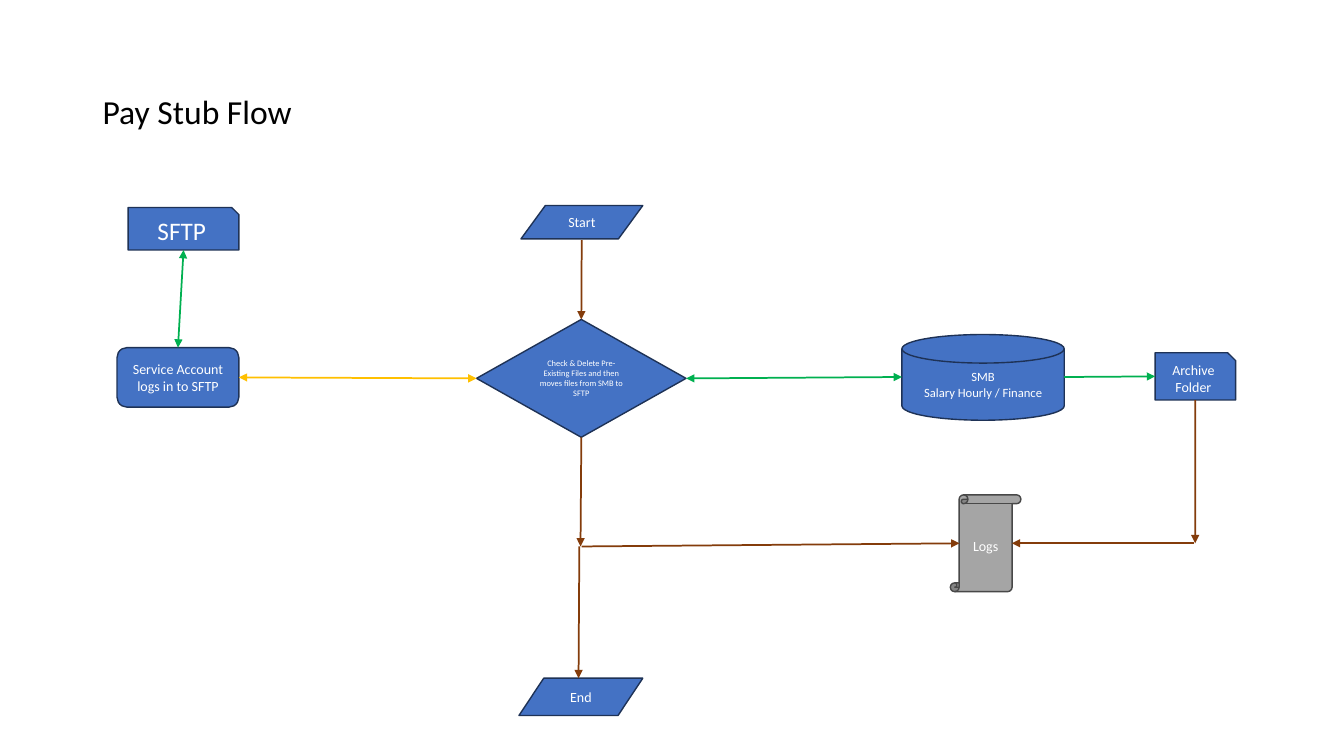
from lxml import etree
from pptx import Presentation
from pptx.dml.color import RGBColor
from pptx.enum.shapes import MSO_CONNECTOR, MSO_SHAPE
from pptx.enum.text import MSO_ANCHOR, MSO_AUTO_SIZE, PP_ALIGN
from pptx.oxml.ns import qn
from pptx.util import Cm, Pt

STRAIGHT = MSO_CONNECTOR.STRAIGHT
SNIPPED = MSO_SHAPE.SNIP_1_RECTANGLE
ROUNDED = MSO_SHAPE.FLOWCHART_ALTERNATE_PROCESS
DIAMOND = MSO_SHAPE.DIAMOND
DATA = MSO_SHAPE.FLOWCHART_DATA
DISK = MSO_SHAPE.FLOWCHART_MAGNETIC_DISK
SCROLL = MSO_SHAPE.VERTICAL_SCROLL
TOP, LEFT, BOTTOM, RIGHT = range(4)

FONT = "Calibri"
BLUE, NAVY = "4472C4", "1E3256"
GRAY, DARK_GRAY = "A5A5A5", "484848"
BROWN, GREEN, AMBER = "843C0B", "00B050", "FFC000"

TITLE = "Pay Stub Flow"
TITLE_BOX = (2.33, 1.01, 29.21, 3.68)

# name: (preset, (left, top, width, height) in cm, text, size, fill, outline)
NODES = {
    "sftp": (SNIPPED, (3.23, 5.23, 2.79, 1.07), "SFTP", 18, BLUE, NAVY),
    "account": (ROUNDED, (2.95, 8.76, 3.07, 1.5),
                "Service Account logs in to SFTP", 10, BLUE, NAVY),
    "check": (DIAMOND, (12.01, 8.05, 5.28, 2.97),
              "Check & Delete Pre-Existing Files and then moves files from SMB to SFTP",
              6, BLUE, NAVY),
    "start": (DATA, (13.13, 5.18, 3.07, 0.84), "Start", 10, BLUE, NAVY),
    "logs": (SCROLL, (23.95, 12.47, 1.78, 2.44), "Logs", 10, GRAY, DARK_GRAY),
    "smb": (DISK, (22.73, 8.43, 4.09, 2.16),
            "SMB\vSalary Hourly / Finance", 9, BLUE, NAVY),
    "archive": (SNIPPED, (29.11, 8.89, 2.03, 1.19), "Archive Folder", 10, BLUE, NAVY),
    "end": (DATA, (13.08, 17.09, 3.12, 0.94), "End", 10, BLUE, NAVY),
}

# (from, to, colour, width, two-headed); an end is a (node, side) or an (x, y) in cm
ARROWS = [
    (("check", BOTTOM), (14.63, 13.77), BROWN, 1.25, False),
    ((14.66, 13.77), (24.18, 13.69), BROWN, 1.25, False),
    (("sftp", BOTTOM), ("account", TOP), GREEN, 1.25, True),
    (("check", RIGHT), (22.73, 9.5), GREEN, 1.25, True),
    ((26.82, 9.5), ("archive", LEFT), GREEN, 1.25, False),
    (("archive", BOTTOM), (30.12, 13.69), BROWN, 1.25, False),
    ((30.1, 13.69), (25.5, 13.69), BROWN, 1.5, False),
    ((14.66, 6.05), ("check", TOP), BROWN, 1.25, False),
    (("account", RIGHT), ("check", LEFT), AMBER, 1.25, True),
    ((14.6, 13.77), (14.58, 17.09), BROWN, 1.25, False),
]


def color(value):
    return RGBColor.from_string(value)


def write(shape, text, size, text_color, alignment):
    frame = shape.text_frame
    frame.word_wrap = True
    frame.auto_size = MSO_AUTO_SIZE.NONE
    frame.vertical_anchor = MSO_ANCHOR.MIDDLE
    paragraph = frame.paragraphs[0]
    paragraph.text = text
    paragraph.alignment = alignment
    paragraph.font.name = FONT
    paragraph.font.size = Pt(size)
    paragraph.font.color.rgb = color(text_color)


def add_node(slide, preset, box, text, size, fill, outline):
    shape = slide.shapes.add_shape(preset, *map(Cm, box))
    shape.shadow.inherit = False
    shape.fill.solid()
    shape.fill.fore_color.rgb = color(fill)
    shape.line.color.rgb = color(outline)
    shape.line.width = Pt(1)
    write(shape, text, size, "FFFFFF", PP_ALIGN.CENTER)
    return shape


def add_arrow(slide, nodes, start, end, line_color, width, two_headed):
    points = [(0, 0) if spot[0] in nodes else spot for spot in (start, end)]
    arrow = slide.shapes.add_connector(
        STRAIGHT, *(Cm(value) for point in points for value in point))
    for spot, connect in ((start, arrow.begin_connect), (end, arrow.end_connect)):
        if spot[0] in nodes:
            connect(nodes[spot[0]], spot[1])
    arrow.line.color.rgb = color(line_color)
    arrow.line.width = Pt(width)
    properties = arrow.element.spPr
    line = properties.find(qn("a:ln"))
    for tag in ("a:headEnd", "a:tailEnd") if two_headed else ("a:tailEnd",):
        etree.SubElement(line, qn(tag), type="triangle")
    etree.SubElement(properties, qn("a:effectLst"))


def main():
    presentation = Presentation()
    presentation.slide_width = Cm(33.87)
    presentation.slide_height = Cm(19.05)
    slide = presentation.slides.add_slide(presentation.slide_layouts[5])

    title = slide.shapes.title
    title.left, title.top, title.width, title.height = map(Cm, TITLE_BOX)
    write(title, TITLE, 24, "000000", PP_ALIGN.LEFT)
    title.text_frame.paragraphs[0].line_spacing = 0.9

    nodes = {name: add_node(slide, *node) for name, node in NODES.items()}
    for arrow in ARROWS:
        add_arrow(slide, nodes, *arrow)
    presentation.save("out.pptx")


if __name__ == "__main__":
    main()
